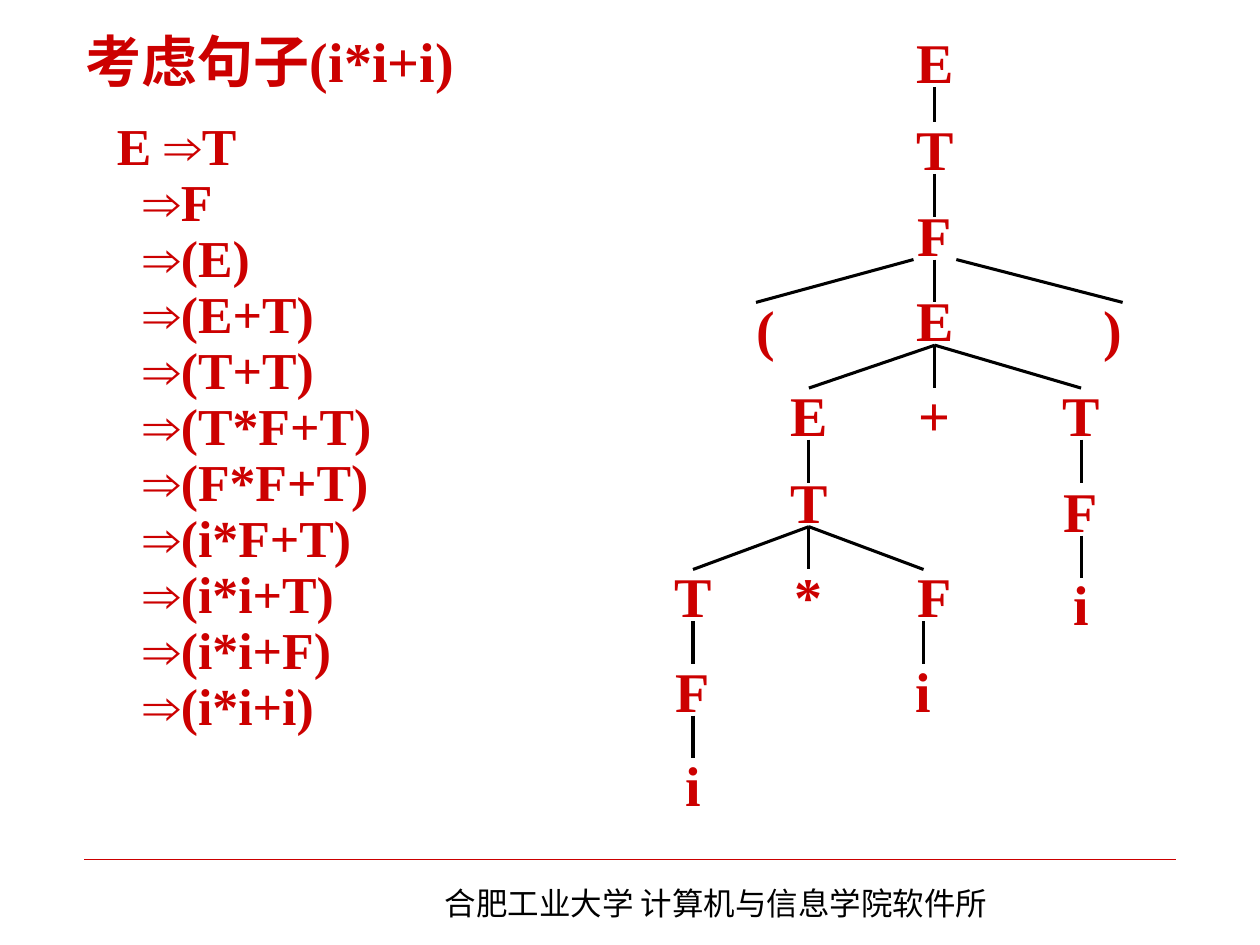
from dataclasses import dataclass

from lxml import etree
from pptx import Presentation
from pptx.dml.color import RGBColor
from pptx.enum.shapes import MSO_CONNECTOR
from pptx.enum.text import MSO_ANCHOR, MSO_AUTO_SIZE, PP_ALIGN
from pptx.oxml.ns import qn
from pptx.util import Inches, Pt

STRAIGHT = MSO_CONNECTOR.STRAIGHT
TOP, MIDDLE = MSO_ANCHOR.TOP, MSO_ANCHOR.MIDDLE
LEFT, CENTER = PP_ALIGN.LEFT, PP_ALIGN.CENTER
FIXED_SIZE = MSO_AUTO_SIZE.NONE
NODE_WIDTH, NODE_HEIGHT = 0.67, 0.41


@dataclass(frozen=True)
class Theme:
    red: RGBColor = RGBColor(0xCC, 0x00, 0x00)
    black: RGBColor = RGBColor(0x00, 0x00, 0x00)
    latin: str = "Times New Roman"
    chinese: str = "Noto Sans CJK SC"
    arrow: str = "Arial"
    symbol_size: float = 32
    derivation_size: float = 29.6
    footer_size: float = 18
    branch_width: float = 1.75
    rule_width: float = 0.25


@dataclass(frozen=True)
class Node:
    symbol: str
    x: float
    top: float
    children: tuple["Node", ...] = ()
    drop: float = 0.34
    start_shift: float = 0
    end_shift: float = 0


THEME = Theme()

PRODUCT = Node("T", 6.42, 3.77, (
    Node("T", 5.5, 4.52, (
        Node("F", 5.5, 5.27, (Node("i", 5.5, 6.02),)),
    )),
    Node("*", 6.42, 4.52),
    Node("F", 7.42, 4.52, (
        Node("i", 7.33, 5.27, start_shift=-0.09),
    ), end_shift=-0.09),
))
SUM = Node("E", 7.42, 2.33, (
    Node("E", 6.42, 3.08, (PRODUCT,)),
    Node("+", 7.42, 3.08),
    Node("T", 8.58, 3.08, (
        Node("F", 8.58, 3.84, (Node("i", 8.58, 4.58),)),
    )),
))
PARSE_TREE = Node("E", 7.42, 0.28, (
    Node("T", 7.42, 0.97, (
        Node("F", 7.42, 1.65, (
            Node("(", 6.08, 2.4, start_shift=-0.17, end_shift=-0.08),
            SUM,
            Node(")", 8.83, 2.4, start_shift=0.17, end_shift=0.08),
        )),
    ), drop=0.28),
))
DERIVATION = ("T", "F", "(E)", "(E+T)", "(T+T)", "(T*F+T)", "(F*F+T)",
              "(i*F+T)", "(i*i+T)", "(i*i+F)", "(i*i+i)")


def style_run(run, size: float, color: RGBColor, latin: str, bold: bool = True) -> None:
    run.font.size = Pt(size)
    run.font.bold = bold
    run.font.name = latin
    run.font.color.rgb = color
    east_asian = etree.Element(qn("a:ea"), typeface=THEME.chinese)
    run.font._element.find(qn("a:latin")).addnext(east_asian)


def add_box(slide, left: float, top: float, width: float, height: float, wrap: bool = True):
    box = slide.shapes.add_textbox(Inches(left), Inches(top), Inches(width), Inches(height))
    box.text_frame.word_wrap = wrap
    return box.text_frame


def add_line(slide, start: tuple[float, float], end: tuple[float, float],
             color: RGBColor, width: float) -> None:
    line = slide.shapes.add_connector(STRAIGHT, *map(Inches, start + end))
    line.line.color.rgb = color
    line.line.width = Pt(width)
    etree.SubElement(line._element.spPr, qn("a:effectLst"))


def add_tree(slide, node: Node) -> None:
    frame = add_box(slide, node.x - NODE_WIDTH / 2, node.top, NODE_WIDTH, NODE_HEIGHT, wrap=False)
    frame.vertical_anchor = MIDDLE
    frame.text = node.symbol
    frame.paragraphs[0].alignment = CENTER
    style_run(frame.paragraphs[0].runs[0], THEME.symbol_size, THEME.red, THEME.latin)
    foot = node.top + NODE_HEIGHT
    for child in node.children:
        add_line(slide, (node.x + child.start_shift, foot),
                 (child.x + child.end_shift, foot + child.drop),
                 THEME.black, THEME.branch_width)
        add_tree(slide, child)


def add_title(slide) -> None:
    title = slide.shapes.title
    title.left, title.top = Inches(0.58), Inches(0.16)
    title.width, title.height = Inches(4.08), Inches(0.75)
    frame = title.text_frame
    frame.text = "考虑句子(i*i+i)"
    frame.vertical_anchor = TOP
    frame.auto_size = FIXED_SIZE
    frame.paragraphs[0].alignment = LEFT
    style_run(frame.paragraphs[0].runs[0], THEME.symbol_size, THEME.red, THEME.latin)


def add_derivation(slide) -> None:
    frame = add_box(slide, 0.83, 0.91, 3.5, 5.83)
    for step, form in enumerate(DERIVATION):
        paragraph = frame.add_paragraph() if step else frame.paragraphs[0]
        paragraph.line_spacing = 0.9
        parts = [("⇒", THEME.arrow), (form, THEME.latin)]
        if step:
            paragraph._p.get_or_add_pPr().set("marL", str(Inches(0.21)))
        else:
            parts.insert(0, ("E ", THEME.latin))
        for text, font in parts:
            run = paragraph.add_run()
            run.text = text
            style_run(run, THEME.derivation_size, THEME.red, font)


def add_footer(slide) -> None:
    add_line(slide, (0.67, 6.82), (9.33, 6.82), THEME.red, THEME.rule_width)
    frame = add_box(slide, 3.43, 6.97, 4.88, 0.4)
    frame.text = "合肥工业大学 计算机与信息学院软件所"
    style_run(frame.paragraphs[0].runs[0], THEME.footer_size, THEME.black, THEME.chinese, bold=False)


def main() -> None:
    deck = Presentation()
    deck.slide_width, deck.slide_height = Inches(10), Inches(7.5)
    slide = deck.slides.add_slide(deck.slide_layouts[5])
    add_footer(slide)
    add_tree(slide, PARSE_TREE)
    add_derivation(slide)
    add_title(slide)
    deck.save("out.pptx")


if __name__ == "__main__":
    main()
